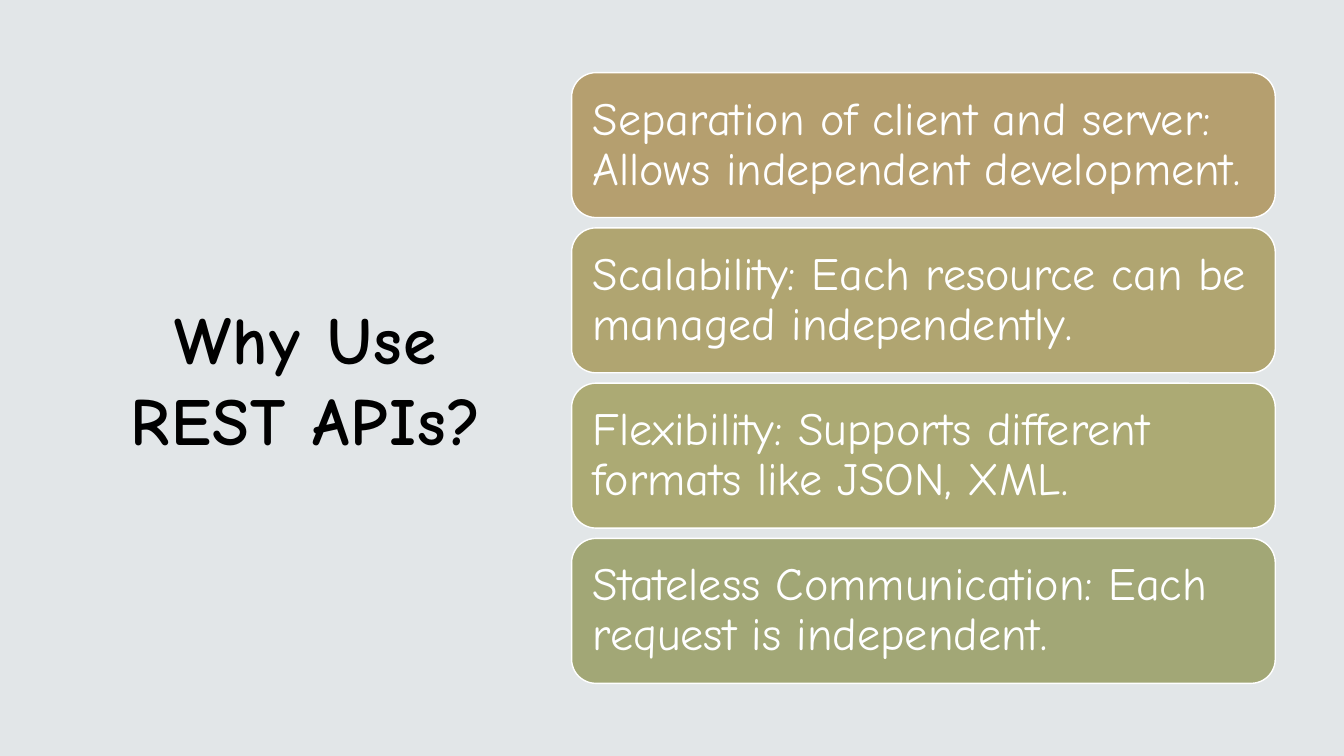
from pptx import Presentation
from pptx.dml.color import RGBColor
from pptx.enum.shapes import MSO_SHAPE
from pptx.enum.text import MSO_ANCHOR, MSO_AUTO_SIZE, PP_ALIGN
from pptx.util import Pt

FONT = "Comic Neue"
BACKGROUND = RGBColor(0xE2, 0xE6, 0xE8)
BLACK = RGBColor(0x00, 0x00, 0x00)
WHITE = RGBColor(0xFF, 0xFF, 0xFF)
TAN = RGBColor(0xB5, 0x9F, 0x6F)
KHAKI = RGBColor(0xB0, 0xA5, 0x71)
OLIVE = RGBColor(0xAC, 0xAA, 0x74)
SAGE = RGBColor(0xA2, 0xA7, 0x76)

REASONS = [
    ("Separation of client and server: Allows independent development.", TAN),
    ("Scalability: Each resource can be managed independently.", KHAKI),
    ("Flexibility: Supports different formats like JSON, XML.", OLIVE),
    ("Stateless Communication: Each request is independent.", SAGE),
]
CARD_LEFT, CARD_TOP = 408.3, 51.9
CARD_WIDTH, CARD_HEIGHT = 502.6, 103.5
CARD_STEP = 110.9


def style_text(para, size, color, bold):
    span = para.runs[0]
    span.font.name = FONT
    span.font.size = Pt(size)
    span.font.bold = bold
    span.font.color.rgb = color
    return span


deck = Presentation()
deck.slide_width = Pt(960)
deck.slide_height = Pt(540)
page = deck.slides.add_slide(deck.slide_layouts[5])
page.background.fill.solid()
page.background.fill.fore_color.rgb = BACKGROUND

title = page.shapes.title
title.left, title.top = Pt(69.8), Pt(77)
title.width, title.height = Pt(298), Pt(386.6)
frame = title.text_frame
frame.text = "Why Use REST APIs?"
frame.word_wrap = True
frame.auto_size = MSO_AUTO_SIZE.NONE
frame.vertical_anchor = MSO_ANCHOR.MIDDLE
para = frame.paragraphs[0]
para.alignment = PP_ALIGN.CENTER
span = style_text(para, 48, BLACK, True)
span.font._element.set("spc", "100")

for index, (reason, color) in enumerate(REASONS):
    card = page.shapes.add_shape(
        MSO_SHAPE.ROUNDED_RECTANGLE,
        Pt(CARD_LEFT), Pt(CARD_TOP + index * CARD_STEP),
        Pt(CARD_WIDTH), Pt(CARD_HEIGHT),
    )
    card.shadow.inherit = False
    card.fill.solid()
    card.fill.fore_color.rgb = color
    card.line.color.rgb = WHITE
    card.line.width = Pt(1)
    frame = card.text_frame
    frame.text = reason
    frame.word_wrap = True
    frame.vertical_anchor = MSO_ANCHOR.MIDDLE
    frame.margin_left = frame.margin_right = Pt(10)
    frame.margin_top = frame.margin_bottom = Pt(10)
    para = frame.paragraphs[0]
    para.alignment = PP_ALIGN.LEFT
    para.line_spacing = 0.9
    style_text(para, 33, WHITE, False)

deck.save("out.pptx")
